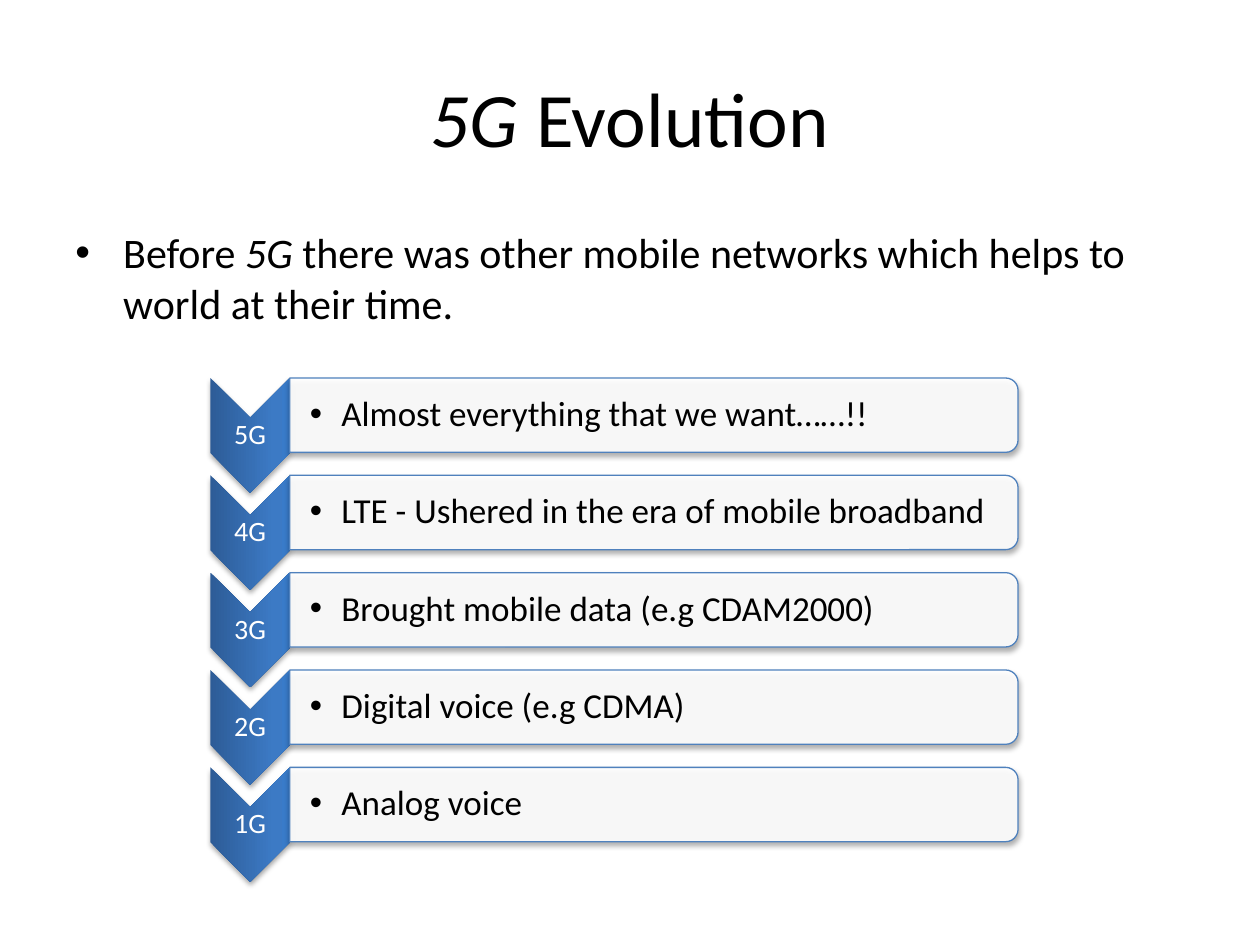
from lxml import etree
from pptx import Presentation, util as u
from pptx.dml.color import RGBColor
from pptx.enum import shapes as kinds, text as t
from pptx.oxml import ns

WIDTH, HEIGHT = 10, 7.5
MARGIN = WIDTH * 0.05
CONTENT_WIDTH = WIDTH - 2 * MARGIN

# Grid of the generation list
LIST_TOP, ROW_PITCH = 3.0, 3.09 / 4
CHEVRON_LEFT, CHEVRON_WIDTH, CHEVRON_HEIGHT = 1.67, 0.63, 0.91
BAR_LEFT, BAR_WIDTH, BAR_HEIGHT = 2.3, 5.78, 0.59

GENERATIONS = [
    ("5G", "Almost everything that we want……!!"),
    ("4G", "LTE - Ushered in the era of mobile broadband"),
    ("3G", "Brought mobile data (e.g CDAM2000)"),
    ("2G", "Digital voice (e.g CDMA)"),
    ("1G", "Analog voice"),
]
CHEVRON_STOPS = [(0, "2D5C97"), (80, "3C7AC5"), (100, "397BC9")]


def color(value):
    return RGBColor.from_string(value)


def add_xml(parent, tag, **attributes):
    element = etree.SubElement(parent, ns.qn(tag))
    for name, value in attributes.items():
        element.set(name, str(value))
    return element


def add_text(shapes, box, runs, size=20, fill="000000", align=t.PP_ALIGN.LEFT,
             anchor=t.MSO_ANCHOR.MIDDLE, insets=(0.01, 0.01, 0.01, 0.01),
             line_spacing=None, bullet_indent=None):
    """Add one paragraph made of (text, italic) runs."""
    frame = shapes.add_textbox(*map(u.Inches, box)).text_frame
    frame.word_wrap = True
    frame.vertical_anchor = anchor
    (frame.margin_left, frame.margin_top,
     frame.margin_right, frame.margin_bottom) = map(u.Inches, insets)
    paragraph = frame.paragraphs[0]
    paragraph.alignment = align
    if line_spacing:
        paragraph.line_spacing = line_spacing
    for words, italic in runs:
        run = paragraph.add_run()
        run.text = words
        run.font.name = "Calibri"
        run.font.size = u.Pt(size)
        run.font.italic = italic
        run.font.color.rgb = color(fill)
    if bullet_indent:
        properties = paragraph._p.get_or_add_pPr()
        properties.set("marL", str(u.Inches(bullet_indent)))
        properties.set("indent", str(-u.Inches(bullet_indent)))
        add_xml(properties, "a:buFont", typeface="Arial")
        add_xml(properties, "a:buChar", char="•")


def add_shadow(shape):
    effects = add_xml(shape._element.spPr, "a:effectLst")
    shadow = add_xml(effects, "a:outerShdw", blurRad=u.Pt(3.1), dist=u.Pt(1.8),
                     dir=90 * 60000, rotWithShape=0)
    black = add_xml(shadow, "a:srgbClr", val="000000")
    add_xml(black, "a:alpha", val=35000)


def add_turned_shape(shapes, kind, box, adjustments):
    """Add a shape turned by a quarter so that it covers the given box."""
    left, top, width, height = box
    shift = (width - height) / 2
    shape = shapes.add_shape(kind, *map(
        u.Inches, (left + shift, top - shift, height, width)))
    shape.rotation = 90
    for index, value in enumerate(adjustments):
        shape.adjustments[index] = value
    return shape


def add_chevron(shapes, box):
    shape = add_turned_shape(shapes, kinds.MSO_SHAPE.CHEVRON, box, [0.5])
    gradient = add_xml(shape._element.spPr, "a:gradFill", rotWithShape=1)
    stops = add_xml(gradient, "a:gsLst")
    for position, value in CHEVRON_STOPS:
        stop = add_xml(stops, "a:gs", pos=position * 1000)
        add_xml(stop, "a:srgbClr", val=value)
    add_xml(gradient, "a:lin", ang=270 * 60000, scaled=0)
    shape.line.fill.background()
    add_shadow(shape)


def add_bar(shapes, box):
    shape = add_turned_shape(
        shapes, kinds.MSO_SHAPE.ROUND_2_SAME_RECTANGLE, box, [0.167, 0])
    shape.fill.solid()
    shape.fill.fore_color.rgb = color("FFFFFF")
    fill_color = shape._element.spPr.find(".//" + ns.qn("a:srgbClr"))
    add_xml(fill_color, "a:alpha", val=90000)
    shape.line.color.rgb = color("4F81BD")
    shape.line.width = u.Pt(0.75)
    add_shadow(shape)


def add_generation(shapes, row, name, description):
    top = LIST_TOP + row * ROW_PITCH
    add_chevron(shapes, (CHEVRON_LEFT, top, CHEVRON_WIDTH, CHEVRON_HEIGHT))
    add_text(shapes, (CHEVRON_LEFT, top + 0.32, CHEVRON_WIDTH, 0.27),
             [(name, False)], size=16, fill="FFFFFF",
             align=t.PP_ALIGN.CENTER, line_spacing=0.9)
    add_bar(shapes, (BAR_LEFT, top, BAR_WIDTH, BAR_HEIGHT))
    add_text(shapes, (BAR_LEFT, top + 0.03, BAR_WIDTH - 0.03, BAR_HEIGHT - 0.06),
             [(description, False)], insets=(0.16, 0.01, 0.01, 0.01),
             line_spacing=0.9, bullet_indent=0.25)


def main():
    presentation = Presentation()
    presentation.slide_width = u.Inches(WIDTH)
    presentation.slide_height = u.Inches(HEIGHT)
    slide = presentation.slides.add_slide(presentation.slide_layouts[6])
    insets = (0.1, 0.05, 0.1, 0.05)

    # Introduction
    add_text(slide.shapes, (MARGIN, 1.75, CONTENT_WIDTH, HEIGHT * 0.66),
             [("Before ", False), ("5G", True),
              (" there was other mobile networks which helps to world"
               " at their time.", False)],
             size=24, anchor=t.MSO_ANCHOR.TOP, insets=insets,
             bullet_indent=0.38)

    # Network generations, newest first
    group = slide.shapes.add_group_shape()
    for row, (name, description) in enumerate(GENERATIONS):
        add_generation(group.shapes, row, name, description)

    # Title
    add_text(slide.shapes, (MARGIN, HEIGHT * 0.04, CONTENT_WIDTH, 1.25),
             [("5G", True), (" Evolution", False)], size=44,
             align=t.PP_ALIGN.CENTER, insets=insets)

    presentation.save("out.pptx")


if __name__ == "__main__":
    main()
